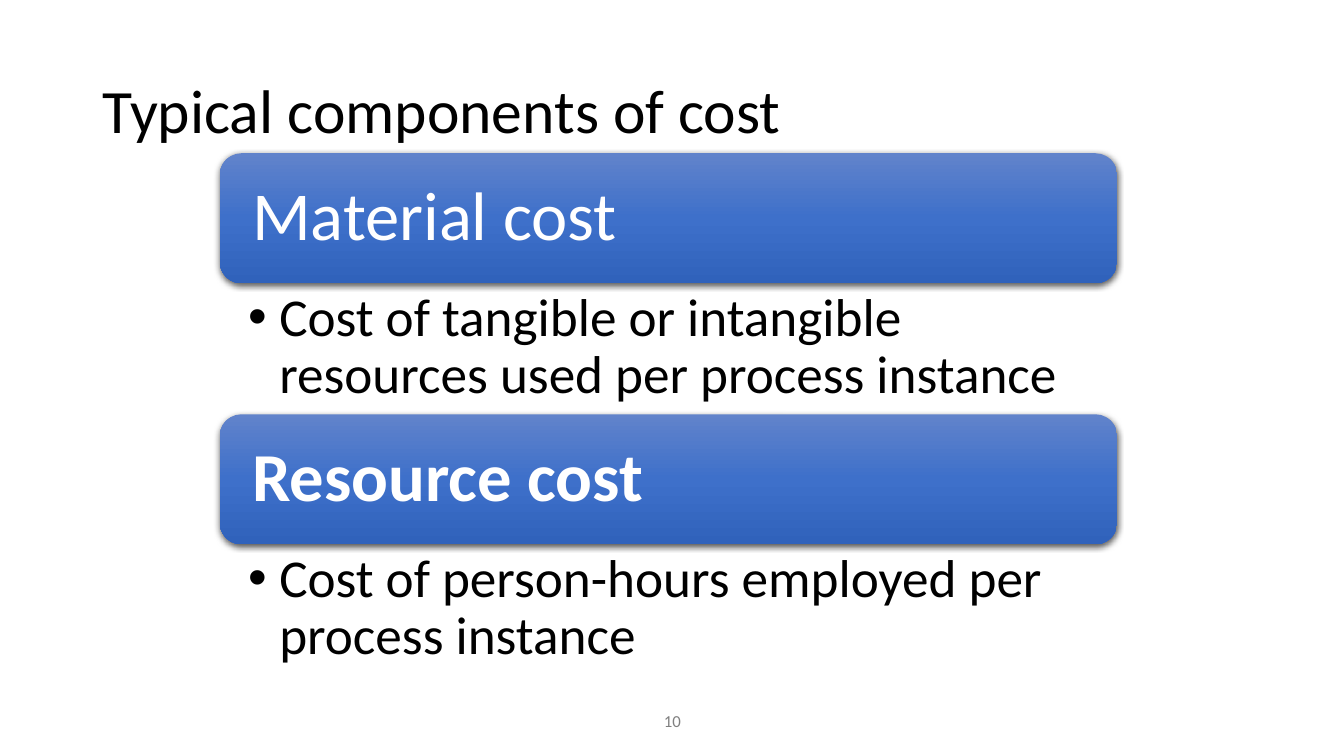
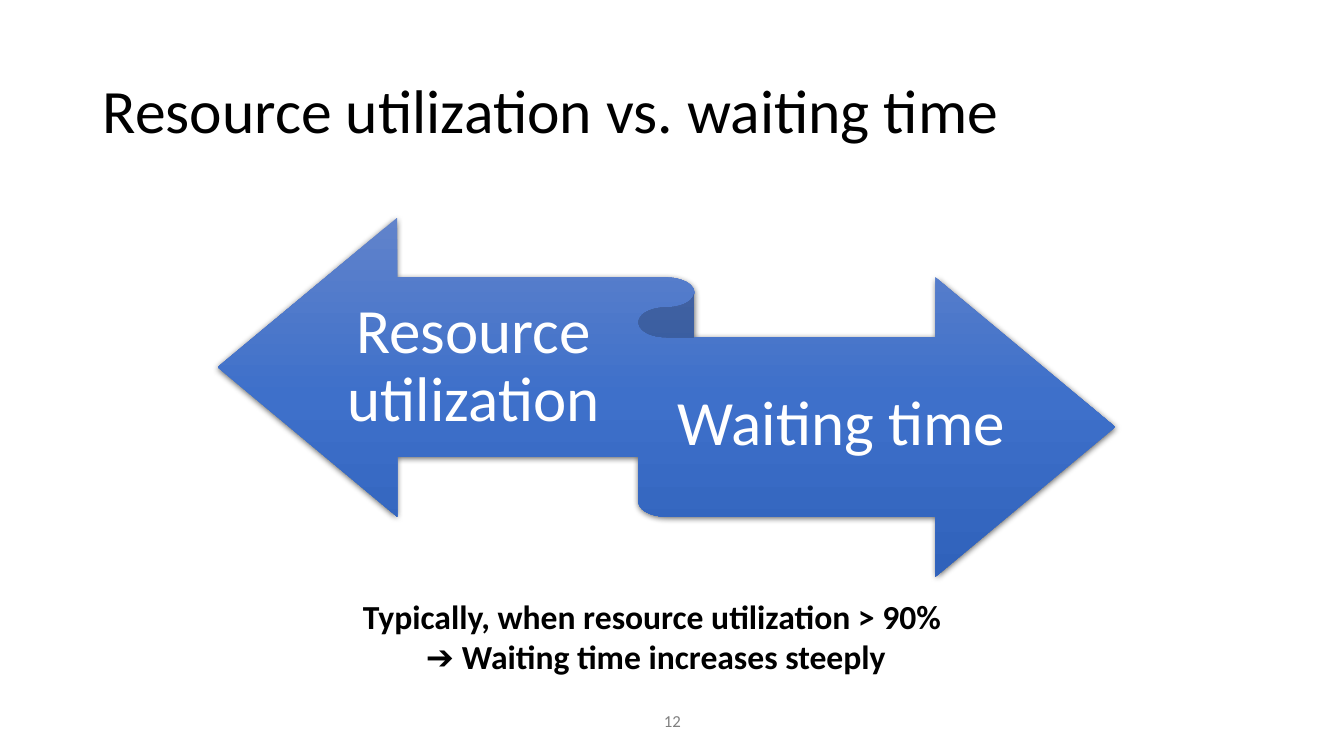
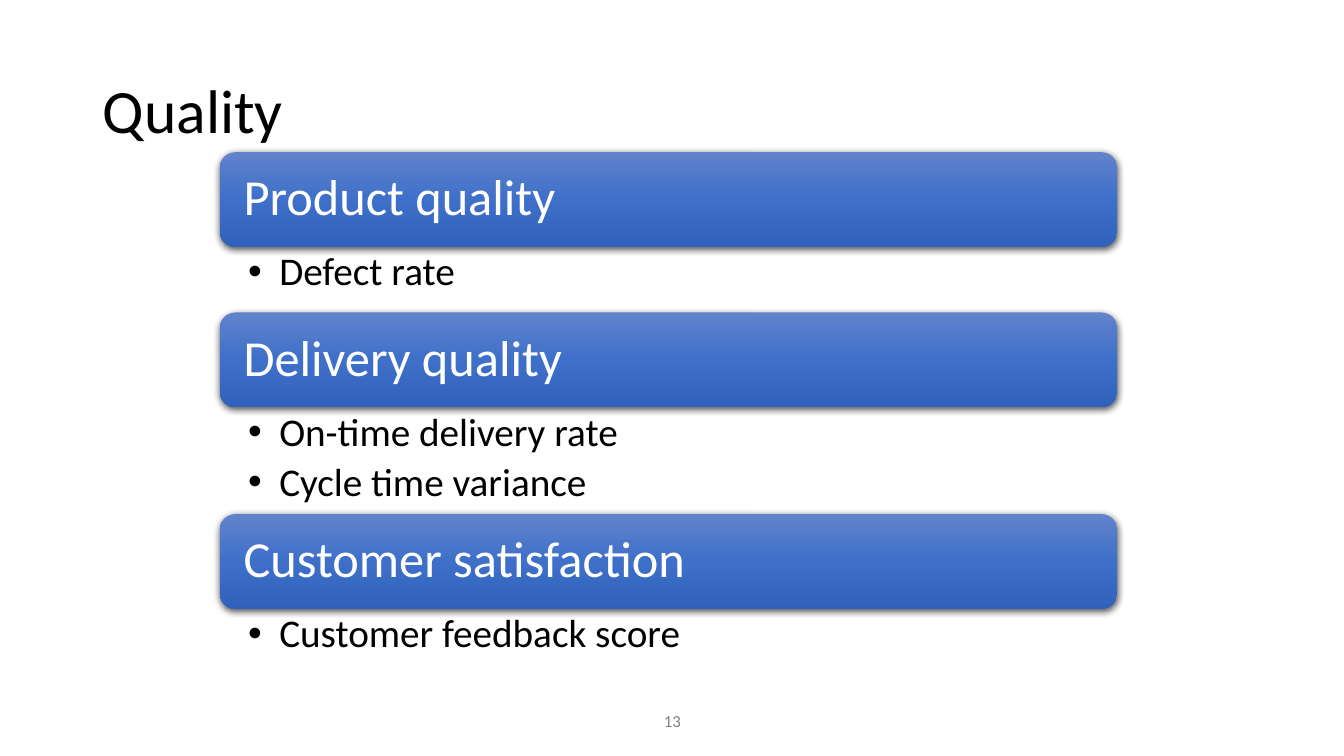
import copy
import dataclasses
import lxml.etree
import pptx
import pptx.dml.color
import pptx.enum.shapes
import pptx.enum.text
import pptx.oxml.ns
import pptx.util

Inches = pptx.util.Inches
Align = pptx.enum.text.PP_ALIGN
Anchor = pptx.enum.text.MSO_ANCHOR
Shape = pptx.enum.shapes.MSO_SHAPE
qn = pptx.oxml.ns.qn


@dataclasses.dataclass(frozen=True)
class Theme:
    font: str = "Calibri"
    black: str = "000000"
    white: str = "FFFFFF"
    grey: str = "808080"
    gradient: tuple = ((0, "6183CB"), (0.5, "3E70CA"), (1, "3062BB"))
    title_size: int = 44
    ribbon_size: int = 45
    note_size: int = 24
    number_size: int = 12


@dataclasses.dataclass(frozen=True)
class SectionStyle:
    heading_size: int
    heading_height: float
    heading_inset: float
    list_size: int
    list_right: float
    list_inset: float


THEME = Theme()
LARGE = SectionStyle(49, 1.29, 0.26, 38, 0.38, 0.07)
COMPACT = SectionStyle(36, 0.94, 0.19, 28, 0.28, 0.05)
TITLE_BOX = (0.92, 0.4, 11.5, 1.45)
NUMBER_BOX = (4.42, 6.95, 4.5, 0.4)
COMPARISON_LAYOUT = 4
TITLE_ONLY_LAYOUT = 5


def rgb(value):
    return pptx.dml.color.RGBColor.from_string(value)


def place(shape, box):
    shape.left, shape.top, shape.width, shape.height = map(Inches, box)


def write(shape, text, size, color, align=Align.LEFT, anchor=Anchor.MIDDLE,
          insets=(0.1, 0.05, 0.1, 0.05), bold=False, spacing=0.9, after=0):
    frame = shape.text_frame
    frame.text = text
    frame.word_wrap = True
    frame.auto_size = pptx.enum.text.MSO_AUTO_SIZE.NONE
    frame.vertical_anchor = anchor
    (frame.margin_left, frame.margin_top,
     frame.margin_right, frame.margin_bottom) = map(Inches, insets)
    for para in frame.paragraphs:
        para.alignment = align
        para.line_spacing = spacing
        para.space_before = pptx.util.Pt(0)
        para.space_after = pptx.util.Pt(after * size)
        for span in para.runs:
            span.font.name = THEME.font
            span.font.size = pptx.util.Pt(size)
            span.font.bold = bold
            span.font.color.rgb = rgb(color)


def add_text(page, box, text, size, color, **style):
    shape = page.shapes.add_textbox(*map(Inches, box))
    write(shape, text, size, color, **style)


def add_bullets(para, indent):
    properties = para._p.get_or_add_pPr()
    properties.set("marL", str(Inches(indent)))
    properties.set("indent", str(-Inches(indent)))
    lxml.etree.SubElement(properties, qn("a:buFont"), typeface="Arial")
    lxml.etree.SubElement(properties, qn("a:buChar"), char="•")


def add_shadow(shape):
    shape.shadow.inherit = False
    effects = shape.element.spPr.find(qn("a:effectLst"))
    shadow = lxml.etree.SubElement(
        effects, qn("a:outerShdw"), blurRad=str(pptx.util.Pt(4.5)),
        dist=str(pptx.util.Pt(1.5)), dir="5400000", algn="ctr", rotWithShape="0")
    color = lxml.etree.SubElement(shadow, qn("a:srgbClr"), val=THEME.black)
    lxml.etree.SubElement(color, qn("a:alpha"), val="63000")


def add_glossy_shape(page, kind, box):
    shape = page.shapes.add_shape(kind, *map(Inches, box))
    shape.fill.gradient()
    shape.fill.gradient_angle = 270
    stops = shape.element.spPr.find(".//" + qn("a:gsLst"))
    stops.append(copy.deepcopy(stops[0]))
    for stop, (position, color) in zip(shape.fill.gradient_stops, THEME.gradient):
        stop.position = position
        stop.color.rgb = rgb(color)
    shape.line.fill.background()
    add_shadow(shape)
    return shape


def add_page(deck, layout, title, number):
    page = deck.slides.add_slide(deck.slide_layouts[layout])
    place(page.shapes.title, TITLE_BOX)
    write(page.shapes.title, title, THEME.title_size, THEME.black)
    add_text(page, NUMBER_BOX, number, THEME.number_size, THEME.grey,
             align=Align.CENTER, spacing=1)
    return page


def add_section(page, body, box, heading, items, style, bold):
    left, top, width, height = box
    bar = add_glossy_shape(page, Shape.ROUNDED_RECTANGLE,
                           (left, top, width, style.heading_height))
    write(bar, heading, style.heading_size, THEME.white, bold=bold,
          insets=(style.heading_inset,) * 4, after=0.35)
    place(body, (left, top + style.heading_height, width,
                 height - style.heading_height))
    write(body, "\n".join(items), style.list_size, THEME.black, anchor=Anchor.TOP,
          insets=(0.28, style.list_inset, style.list_right, style.list_inset),
          after=0.2)
    for para in body.text_frame.paragraphs:
        para.level = 1
        add_bullets(para, 0.31)


def add_sections_page(deck, title, number, top, style, sections):
    page = add_page(deck, COMPARISON_LAYOUT, title, number)
    bodies = [holder for holder in page.placeholders
              if holder.placeholder_format.idx > 0]
    for body, (heading, items, list_height, bold) in zip(bodies, sections):
        height = style.heading_height + list_height
        add_section(page, body, (2.18, top, 8.9, height),
                    heading, items, style, bold)
        top += height
    for spare in bodies[len(sections):]:
        spare.element.getparent().remove(spare.element)


def add_ribbon(page, box, left_label, right_label):
    left, top, width, height = box
    add_glossy_shape(page, Shape.LEFT_RIGHT_RIBBON, box)
    label_height = height * 0.49
    labels = ((left_label, 0.12, 0.175, 0.33), (right_label, 0.5, 0.335, 0.39))
    for text, across, down, share in labels:
        add_text(page, (left + width * across, top + height * down,
                        width * share, label_height),
                 text, THEME.ribbon_size, THEME.white, align=Align.CENTER,
                 insets=(0, 0.17, 0, 0.19), after=0.35)


def add_ribbon_page(deck, title, number, labels, note):
    page = add_page(deck, TITLE_ONLY_LAYOUT, title, number)
    add_ribbon(page, (2.16, 2.16, 8.9, 3.56), *labels)
    add_text(page, (2.17, 5.86, 8.67, 0.91), note, THEME.note_size, THEME.black,
             align=Align.CENTER, anchor=Anchor.TOP, bold=True, spacing=1)


def main():
    deck = pptx.Presentation()
    deck.slide_width, deck.slide_height = Inches(13.33), Inches(7.5)
    add_sections_page(deck, "Typical components of cost", "10", 1.52, LARGE, [
        ("Material cost",
         ["Cost of tangible or intangible resources used per process instance"],
         1.3, False),
        ("Resource cost",
         ["Cost of person-hours employed per process instance"], 1.3, True),
    ])
    add_ribbon_page(
        deck, "Resource utilization vs. waiting time", "12",
        ("Resource utilization", "Waiting time"),
        "Typically, when resource utilization > 90% \n"
        "➔ Waiting time increases steeply")
    add_sections_page(deck, "Quality", "13", 1.51, COMPACT, [
        ("Product quality", ["Defect rate"], 0.65, False),
        ("Delivery quality",
         ["On-time delivery rate", "Cycle time variance"], 1.06, False),
        ("Customer satisfaction", ["Customer feedback score"], 0.65, False),
    ])
    deck.save("out.pptx")


if __name__ == "__main__":
    main()
